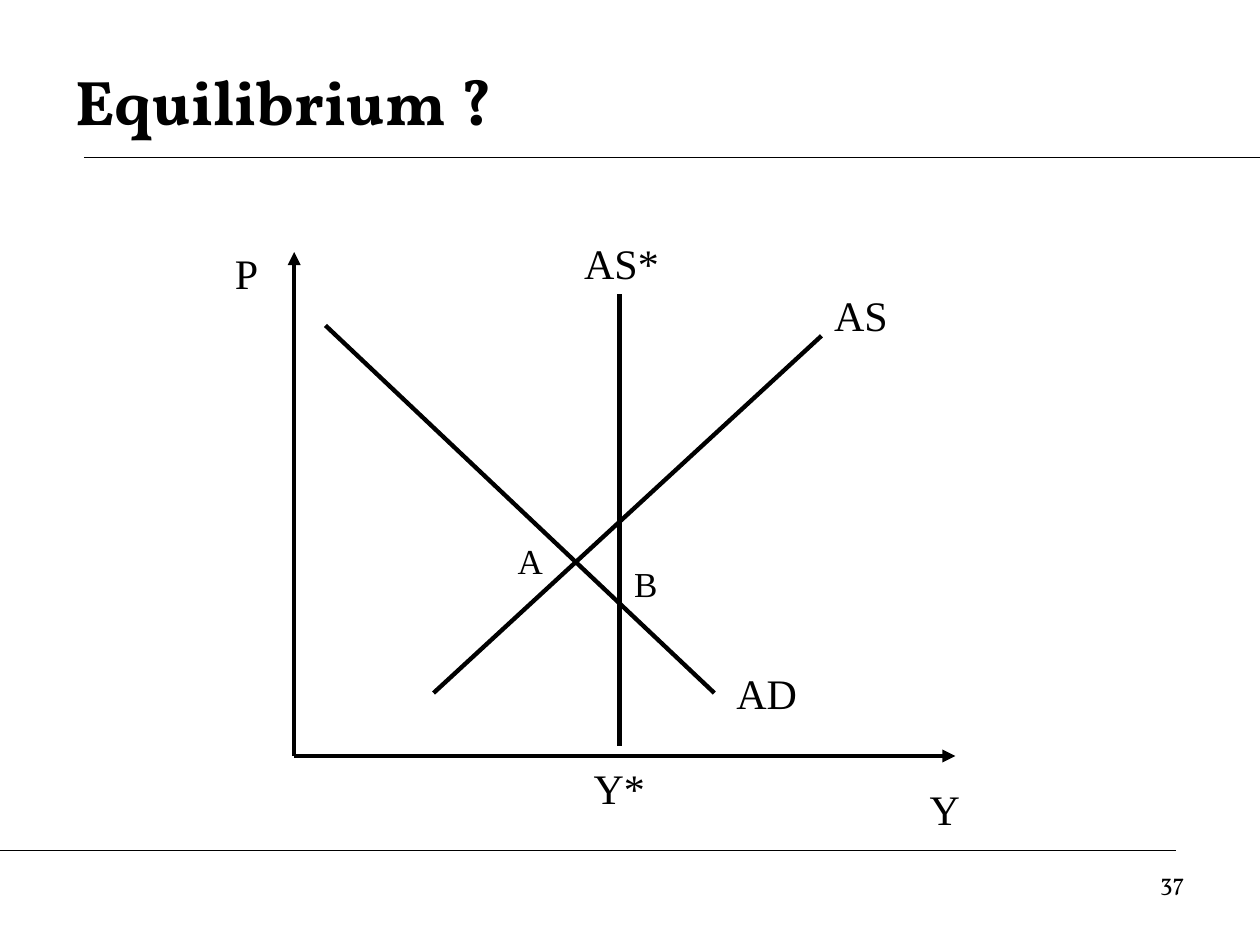
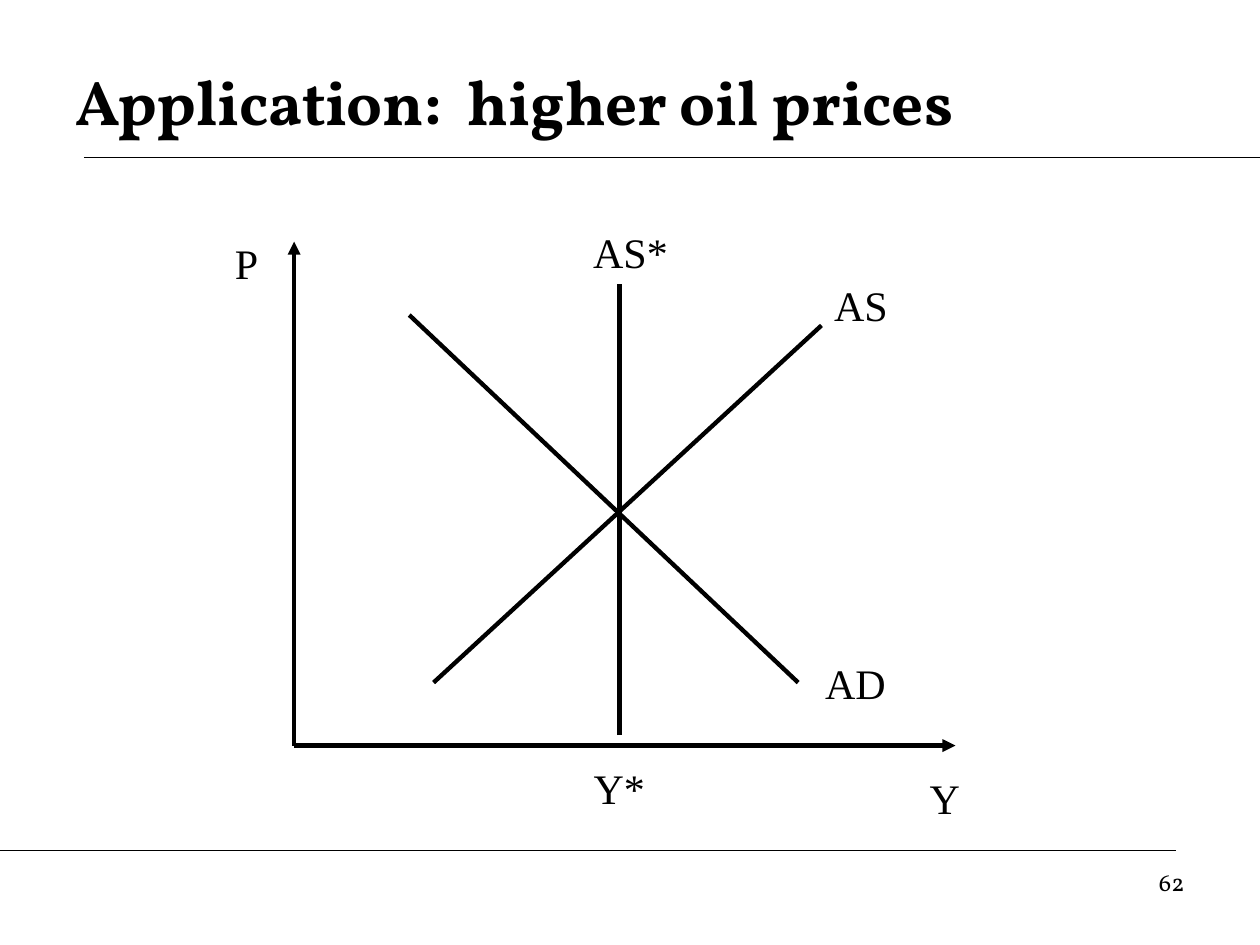
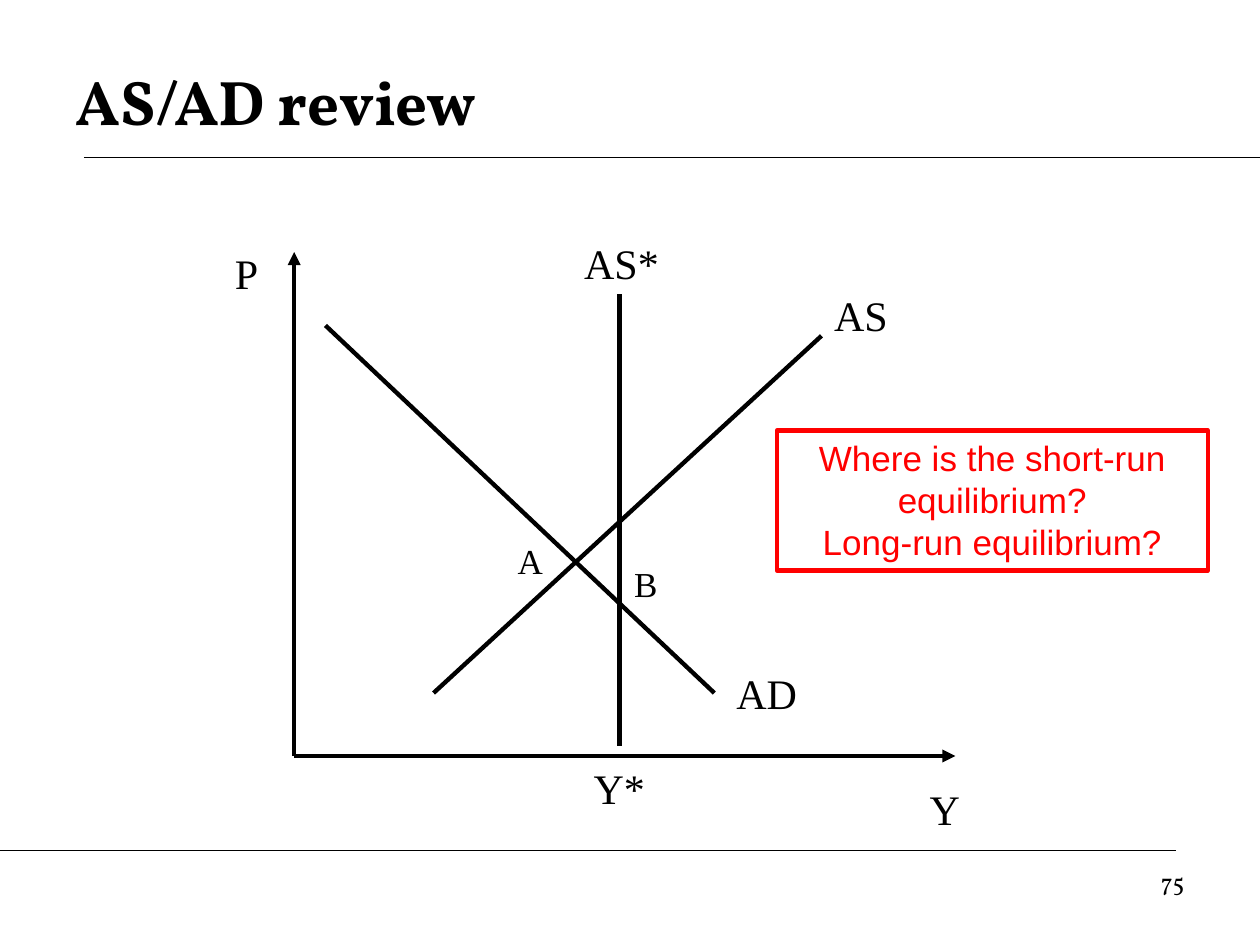
import pptx
import pptx.dml.color
import pptx.enum.shapes
import pptx.enum.text
import pptx.oxml.ns
import pptx.util
from lxml import etree
from pptx.util import Cm

COLORS = {"ink": "000000", "accent": "FF0000"}
TITLE_FONT, LABEL_FONT, NOTE_FONT = "Vollkorn", "Times New Roman", "Arial"
LEFT, CENTER, RIGHT = (pptx.enum.text.PP_ALIGN.LEFT, pptx.enum.text.PP_ALIGN.CENTER,
                       pptx.enum.text.PP_ALIGN.RIGHT)
WIDTH, HEIGHT = 25.4, 19.05


def rgb(name):
    return pptx.dml.color.RGBColor.from_string(COLORS[name])


class Deck:
    """Shared style and the slide being built; all lengths in centimetres."""

    def __init__(self):
        self.prs = pptx.Presentation()
        self.prs.slide_width, self.prs.slide_height = Cm(WIDTH), Cm(HEIGHT)
        self.s = None

    def slide(self, title, number):
        self.s = self.prs.slides.add_slide(self.prs.slide_layouts[5])
        # Rules above and below the content
        self.line((1.69, 3.18), (WIDTH, 3.18), width=0.75)
        self.line((0, 17.15), (23.71, 17.15), width=0.75)
        # Title and page number
        sp = self.s.shapes.title
        sp.left, sp.top, sp.width, sp.height = Cm(1.27), Cm(0.85), Cm(22.86), Cm(2.33)
        self.fill_text(sp, [title], 36, TITLE_FONT, align=LEFT, bold=True)
        sp.text_frame.vertical_anchor = pptx.enum.text.MSO_ANCHOR.MIDDLE
        self.text(str(number), 18.2, 17.36, 5.93, 1.32, 14, TITLE_FONT, RIGHT)

    def fill_text(self, sp, lines, size, font, color="ink", align=CENTER, bold=False):
        tf = sp.text_frame
        tf.word_wrap = True
        tf.auto_size = pptx.enum.text.MSO_AUTO_SIZE.NONE
        for i, line in enumerate(lines):
            p = tf.add_paragraph() if i else tf.paragraphs[0]
            p.alignment = align
            r = p.add_run()
            r.text = line
            r.font.size, r.font.name, r.font.bold = pptx.util.Pt(size), font, bold
            r.font.color.rgb = rgb(color)

    def text(self, text, x, y, w, h=1.27, size=24, font=LABEL_FONT, align=CENTER):
        sp = self.s.shapes.add_textbox(Cm(x), Cm(y), Cm(w), Cm(h))
        self.fill_text(sp, [text], size, font, align=align)

    def line(self, start, end, width=2.5, arrow=False):
        c = self.s.shapes.add_connector(pptx.enum.shapes.MSO_CONNECTOR.STRAIGHT,
                                        *(Cm(v) for v in (*start, *end)))
        c.line.color.rgb = rgb("ink")
        c.line.width = pptx.util.Pt(width)
        props = c.element.spPr
        if arrow:
            etree.SubElement(props.find(pptx.oxml.ns.qn("a:ln")),
                             pptx.oxml.ns.qn("a:tailEnd"), type="triangle")
        etree.SubElement(props, pptx.oxml.ns.qn("a:effectLst"))

    def box(self, lines, x, y, w, h):
        sp = self.s.shapes.add_shape(pptx.enum.shapes.MSO_SHAPE.RECTANGLE,
                                     Cm(x), Cm(y), Cm(w), Cm(h))
        sp.shadow.inherit = False
        sp.fill.background()
        sp.line.color.rgb = rgb("accent")
        sp.line.width = pptx.util.Pt(2.5)
        self.fill_text(sp, lines, 20, NOTE_FONT, "accent")
        sp.text_frame.vertical_anchor = pptx.enum.text.MSO_ANCHOR.TOP

    def diagram(self, rise=0, ad_shift=0, ad_label_shift=0, as_star_shift=0):
        """AS/AD diagram, raised by rise, with the demand curve shifted right."""
        # Axes
        origin = (5.93, 15.24 - rise)
        self.line(origin, (19.26, 15.24 - rise), arrow=True)
        self.line(origin, (5.93, 5.08 - rise), arrow=True)
        # Short-run supply, demand and long-run supply
        self.line((8.74, 13.97 - rise), (16.56, 6.77 - rise))
        self.line((14.4 + ad_shift, 13.97 - rise), (6.56 + ad_shift, 6.56 - rise))
        self.line((12.49, 15.03 - rise), (12.49, 5.93 - rise))
        # Labels
        for text, x, y, w in (("Y", 18.2, 15.66, 1.69), ("P", 4.23, 4.87, 1.48),
                              ("AS", 16.51, 5.71, 1.69),
                              ("AD", 14.29 + ad_label_shift, 13.33, 2.33),
                              ("AS*", 11.47 + as_star_shift, 4.66, 2.12)):
            self.text(text, x, y - rise, w)
        self.text("Y*", 11.64, 15.24, 1.69)

    def equilibria(self):
        for text, x, y in (("A", 9.95, 10.75), ("B", 12.28, 11.22)):
            self.text(text, x, y, 1.48, 1.09, 20)


def main():
    d = Deck()

    # Short-run and long-run equilibrium
    d.slide("Equilibrium ?", 37)
    d.diagram()
    d.equilibria()

    # Starting point for the oil price case
    d.slide("Application:  higher oil prices", 62)
    d.diagram(rise=0.21, ad_shift=1.69, ad_label_shift=1.79, as_star_shift=0.18)

    # Review question
    d.slide("AS/AD review", 75)
    d.diagram()
    d.equilibria()
    d.box(["Where is the short-run equilibrium?", "Long-run equilibrium?"],
          15.66, 8.68, 8.69, 2.82)

    d.prs.save("out.pptx")


if __name__ == "__main__":
    main()
